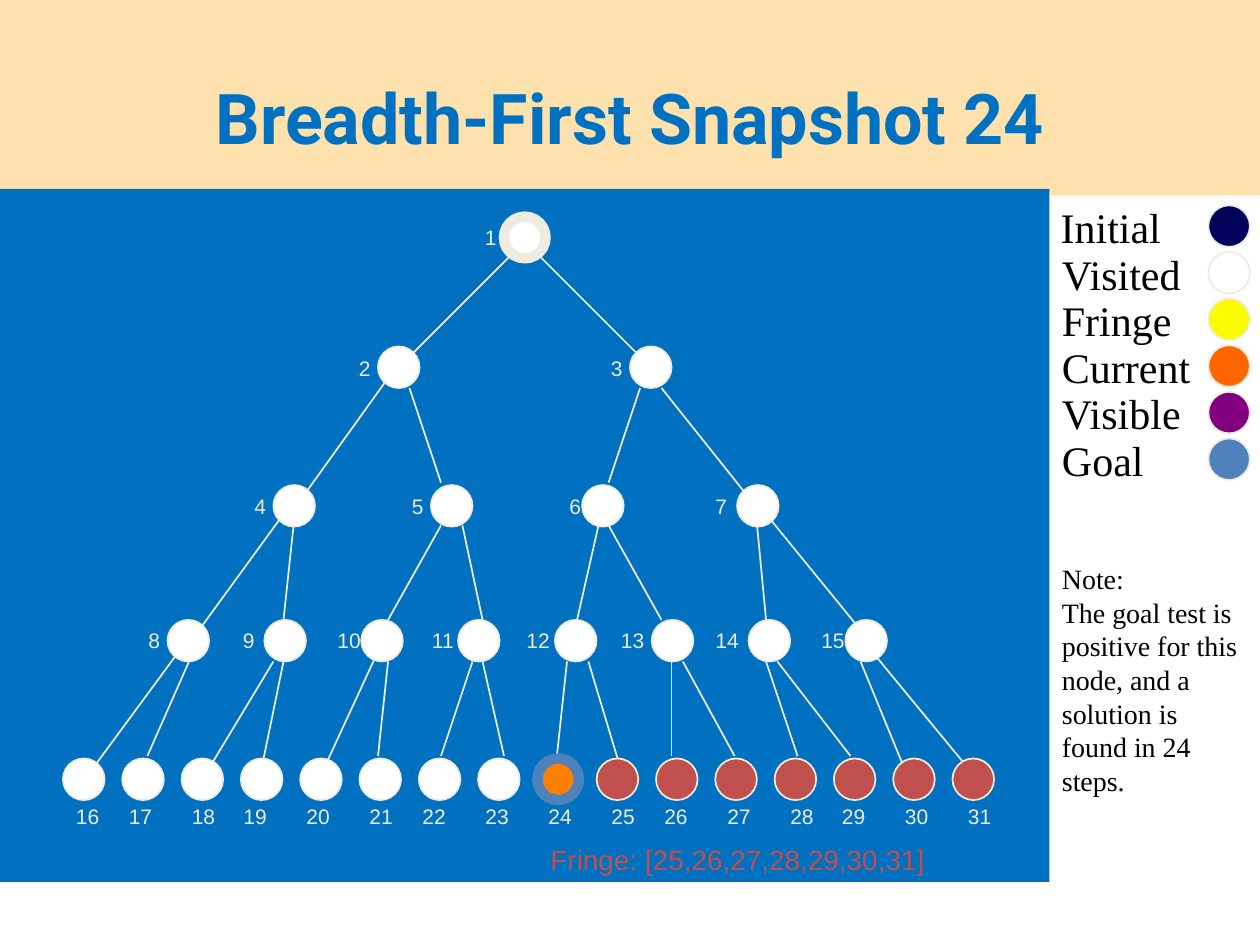
from lxml import etree
from pptx import Presentation
from pptx.dml.color import RGBColor
from pptx.enum.shapes import MSO_CONNECTOR, MSO_SHAPE
from pptx.enum.text import MSO_ANCHOR, MSO_AUTO_SIZE, PP_ALIGN
from pptx.oxml.ns import qn
from pptx.util import Inches, Pt

COLORS = {
    "band": "FFE1AD", "panel": "0070C0", "title": "0070C0", "outline": "EEECE1",
    "text": "000000", "initial": "00025A", "visited": "FFFFFF", "fringe": "FAFD00",
    "current": "FF6600", "visible": "800080", "goal": "4F81BD",
    "goal_found": "FF8000", "waiting": "C0504D",
}
TITLE_FORMAT = {"name": "Roboto", "size": Pt(40), "bold": True}
LEGEND_FORMAT = {"name": "Times New Roman", "size": Pt(24)}
NOTE_FORMAT = {"name": "Times New Roman", "size": Pt(16)}
NUMBER_FORMAT = {"name": "Arial", "size": Pt(12)}
FRINGE_FORMAT = {"name": "Arial", "size": Pt(16)}

NODE_SIZE = 0.33
GOAL_NODE = 24
# Per tree level: node top, node lefts, number top, number lefts
LEVELS = [
    (0.22, [4], 0.23, [3.75]),
    (1.25, [3, 5], 1.27, [2.75, 4.75]),
    (2.35, [2.17, 3.42, 4.62, 5.85], 2.37, [1.92, 3.17, 4.42, 5.58]),
    (3.42, [1.33 + 5.38 / 7 * i for i in range(8)], 3.43,
     [1.08 + 0.75 * i for i in range(7)] + [6.42]),
    (4.52, [0.5 + 7.06 / 15 * i for i in range(16)], 4.83,
     [0.5, 0.92, 1.42, 1.83, 2.33, 2.83, 3.25, 3.75,
      4.25, 4.75, 5.17, 5.67, 6.17, 6.58, 7.08, 7.58]),
]
# Branches to nodes 2 to 31: parent end x, y, child end x, y
BRANCHES = [
    (4.08, 0.5, 3.25, 1.33), (4.25, 0.5, 5.08, 1.33),
    (3.08, 1.5, 2.42, 2.42), (3.25, 1.58, 3.5, 2.33),
    (5.08, 1.58, 4.83, 2.33), (5.25, 1.58, 5.92, 2.42),
    (2.25, 2.58, 1.58, 3.5), (2.33, 2.67, 2.25, 3.42),
    (3.5, 2.67, 3.08, 3.42), (3.67, 2.67, 3.83, 3.42),
    (4.75, 2.67, 4.58, 3.42), (4.83, 2.67, 5.25, 3.42),
    (6, 2.58, 6.08, 3.42), (6.08, 2.58, 6.83, 3.5),
    (1.42, 3.67, 0.75, 4.58), (1.5, 3.75, 1.17, 4.5),
    (2.17, 3.75, 1.67, 4.58), (2.25, 3.75, 2.08, 4.58),
    (3, 3.67, 2.58, 4.58), (3.08, 3.75, 3, 4.5),
    (3.75, 3.75, 3.5, 4.5), (3.83, 3.75, 4, 4.5),
    (4.5, 3.75, 4.42, 4.5), (4.67, 3.75, 4.92, 4.58),
    (5.33, 3.75, 5.33, 4.5), (5.42, 3.75, 5.83, 4.5),
    (6.08, 3.75, 6.33, 4.5), (6.17, 3.75, 6.75, 4.5),
    (6.83, 3.75, 7.17, 4.58), (6.92, 3.67, 7.67, 4.58),
]
# Name, text left, text width
LEGEND = [("Initial", -0.01, 1), ("Visited", 0, 1.16), ("Fringe", 0, 1.07),
          ("Current", 0, 1.22), ("Visible", 0, 1.16), ("Goal", 0, 0.85)]


def color(name):
    return RGBColor.from_string(COLORS[name])


def add_filled(slide, kind, box, fill, outline=None, weight=1):
    shape = slide.shapes.add_shape(kind, *map(Inches, box))
    shape.shadow.inherit = False
    shape.fill.solid()
    shape.fill.fore_color.rgb = color(fill)
    if outline:
        shape.line.color.rgb = color(outline)
        shape.line.width = Pt(weight)
    else:
        shape.line.fill.background()


def add_text(slide, box, lines, font_format, font_color, align=PP_ALIGN.LEFT,
             wrap=False, anchor=MSO_ANCHOR.TOP, auto_size=MSO_AUTO_SIZE.SHAPE_TO_FIT_TEXT):
    frame = slide.shapes.add_textbox(*map(Inches, box)).text_frame
    frame.text = "\n".join(lines)
    frame.word_wrap = wrap
    frame.vertical_anchor = anchor
    frame.auto_size = auto_size
    for paragraph in frame.paragraphs:
        paragraph.alignment = align
        for run in paragraph.runs:
            for key, value in font_format.items():
                setattr(run.font, key, value)
            run.font.color.rgb = color(font_color)


def add_branch(slide, ends):
    line = slide.shapes.add_connector(MSO_CONNECTOR.STRAIGHT, *map(Inches, ends))
    line.line.color.rgb = color("outline")
    line.line.width = Pt(1)
    etree.SubElement(line._element.spPr, qn("a:effectLst"))


def add_node(slide, left, top, number):
    fill, outline, weight = "visited", "outline", 1
    if number == 1:
        weight = 6
    elif number == GOAL_NODE:
        fill, outline, weight = "goal_found", "goal", 6
    elif number > GOAL_NODE:
        fill = "waiting"
    add_filled(slide, MSO_SHAPE.OVAL, (left, top, NODE_SIZE, NODE_SIZE),
               fill, outline, weight)


def add_title(slide, left, top, width, height):
    add_text(slide, (left + 0.5, top + 0.3, width - 1, height - 0.3),
             ["Breadth-First Snapshot 24"], TITLE_FORMAT, "title", PP_ALIGN.CENTER,
             wrap=True, anchor=MSO_ANCHOR.MIDDLE, auto_size=MSO_AUTO_SIZE.NONE)


def add_tree(slide, left, top, width, height):
    add_filled(slide, MSO_SHAPE.RECTANGLE, (left, top, width, height), "panel")
    for x1, y1, x2, y2 in BRANCHES:
        add_branch(slide, (left + x1, top + y1, left + x2, top + y2))
    number = 1
    for node_top, node_lefts, number_top, number_lefts in LEVELS:
        align = PP_ALIGN.CENTER if len(node_lefts) == 16 else PP_ALIGN.LEFT
        for node_left, number_left in zip(node_lefts, number_lefts):
            add_node(slide, left + node_left, top + node_top, number)
            number_width = 0.29 if number < 10 else 0.39
            add_text(slide, (left + number_left, top + number_top, number_width, 0.3),
                     [str(number)], NUMBER_FORMAT, "outline", align)
            number += 1
    add_text(slide, (left + 4.27, top + 5.14, 3.28, 0.37),
             ["Fringe: [25,26,27,28,29,30,31]"], FRINGE_FORMAT, "waiting")


def add_legend(slide, left, top, row_height):
    for row, (name, text_left, text_width) in enumerate(LEGEND):
        row_top = top + row * row_height
        add_filled(slide, MSO_SHAPE.OVAL,
                   (left + 1.26, row_top + 0.08, NODE_SIZE, NODE_SIZE),
                   name.lower(), "outline")
        add_text(slide, (left + text_left, row_top, text_width, 0.5),
                 [name], LEGEND_FORMAT, "text")


def add_note(slide, left, top, width, height):
    lines = ["Note:", "The goal test is positive for this node, "
                      "and a solution is found in 24 steps."]
    add_text(slide, (left, top, width, height), lines, NOTE_FORMAT, "text", wrap=True)


def main():
    presentation = Presentation()
    presentation.slide_width = Inches(10)
    presentation.slide_height = Inches(7.5)
    slide = presentation.slides.add_slide(presentation.slide_layouts[6])
    add_filled(slide, MSO_SHAPE.RECTANGLE, (0, 0, 10, 1.55), "band")
    add_tree(slide, 0, 1.5, 8.33, 5.5)
    add_title(slide, 0, 0, 10, 1.55)
    add_legend(slide, 8.33, 1.55, 0.37)
    add_note(slide, 8.33, 4.41, 1.67, 1.97)
    presentation.save("out.pptx")


if __name__ == "__main__":
    main()
